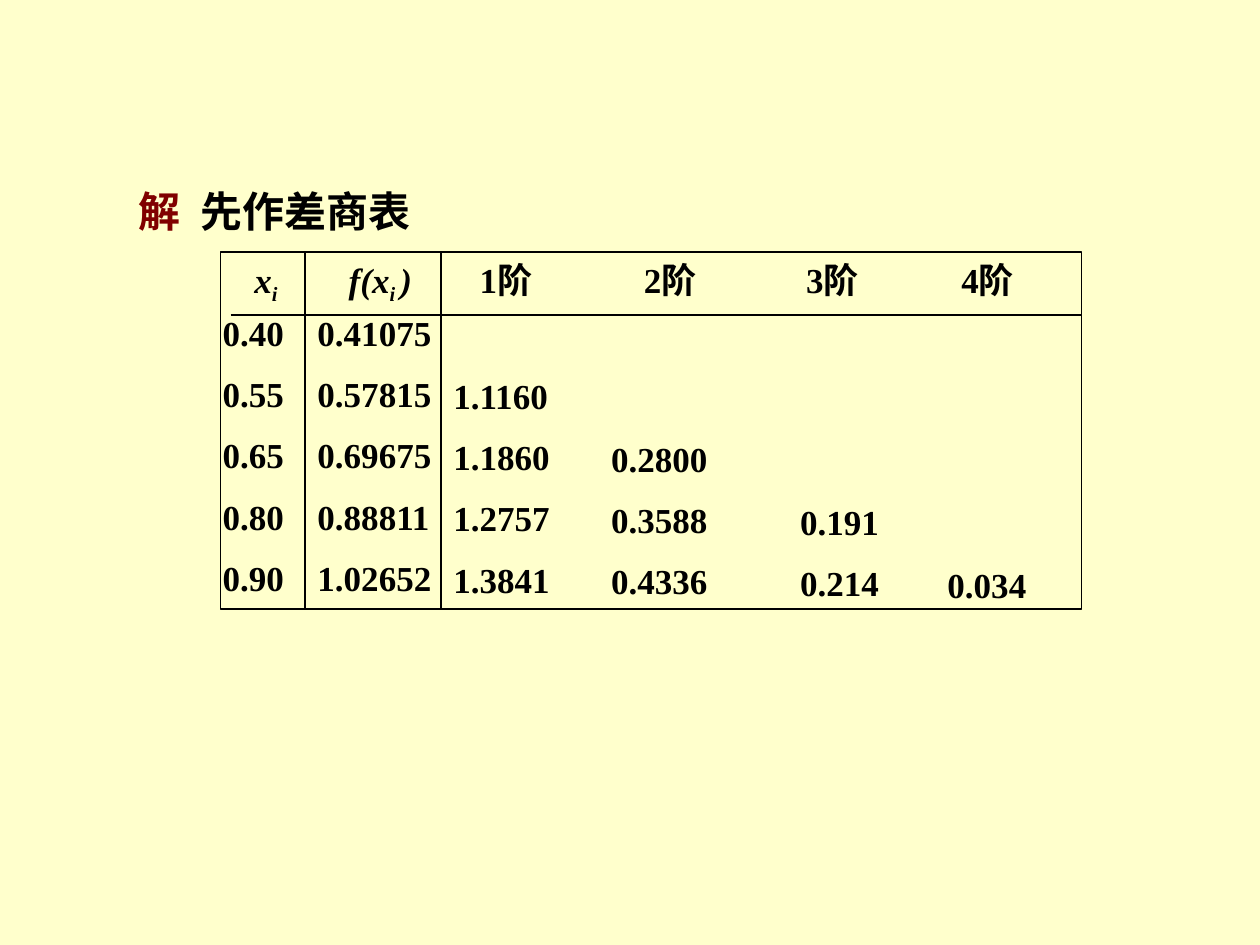
from lxml.etree import SubElement
from pptx import Presentation
from pptx.dml.color import RGBColor
from pptx.enum.shapes import MSO_CONNECTOR, MSO_SHAPE
from pptx.enum.text import MSO_ANCHOR, PP_ALIGN
from pptx.oxml.ns import qn
from pptx.util import Cm, Pt

INK = "000000"
TITLE = [("解", "800000"), ("\t先作差商表", INK)]

# Header runs are (text, subscript).
# Each column: header left, header runs, values left, values
COLUMNS = [
    (4.88, [("x", False), ("i", True)], 4.24,
     ["0.40", "0.55", "0.65", "0.80", "0.90"]),
    (6.78, [("f(x", False), ("i ", True), (")", False)], 6.15,
     ["0.41075", "0.57815", "0.69675", "0.88811", "1.02652"]),
    (9.42, [("1阶", False)], 8.89, ["1.1160", "1.1860", "1.2757", "1.3841"]),
    (12.73, [("2阶", False)], 12.07, ["0.2800", "0.3588", "0.4336"]),
    (16.0, [("3阶", False)], 15.88, ["0.191", "0.214"]),
    (19.13, [("4阶", False)], 18.85, ["0.034"]),
]
LEFT, TOP, WIDTH, HEIGHT = 4.45, 5.08, 17.35, 7.2
RIGHT, BOTTOM = LEFT + WIDTH, TOP + HEIGHT
HEADER_LINE = 6.35
VALUES_TOP, STEP = 6.15, 1.27
BOX_WIDTH = 2.8
RULES = [
    (4.65, HEADER_LINE, RIGHT, HEADER_LINE),
    (6.15, TOP, 6.15, BOTTOM),
    (8.89, TOP, 8.89, BOTTOM),
]


def rgb(color):
    return RGBColor.from_string(color)


def add_run(p, text, size=20, color=INK, italic=False, subscript=False):
    r = p.add_run()
    r.text = text
    r.font.name = "Times New Roman"
    r.font.size = Pt(size)
    r.font.bold = True
    r.font.italic = italic
    r.font.color.rgb = rgb(color)
    if subscript:
        r._r.get_or_add_rPr().set("baseline", "-25000")


def add_box(left, top, height):
    box = s.shapes.add_textbox(Cm(left), Cm(top), Cm(BOX_WIDTH), Cm(height))
    box.text_frame.word_wrap = True
    return box.text_frame


def set_line(shape):
    shape.line.color.rgb = rgb(INK)
    shape.line.width = Pt(0.75)


prs = Presentation()
prs.slide_width, prs.slide_height = Cm(25.4), Cm(19.05)
s = prs.slides.add_slide(prs.slide_layouts[5])
s.background.fill.solid()
s.background.fill.fore_color.rgb = rgb("FFFFCC")

title = s.shapes.title
title.left, title.top, title.width, title.height = Cm(2.54), Cm(3.61), Cm(20.75), Cm(1.27)
title.text_frame.vertical_anchor = MSO_ANCHOR.TOP
p = title.text_frame.paragraphs[0]
p.alignment = PP_ALIGN.LEFT
tabs = SubElement(p._p.get_or_add_pPr(), qn("a:tabLst"))
SubElement(tabs, qn("a:tab"), pos=str(Cm(1.24)), algn="l")
for text, color in TITLE:
    add_run(p, text, 24, color)

frame = s.shapes.add_shape(MSO_SHAPE.RECTANGLE, Cm(LEFT), Cm(TOP), Cm(WIDTH), Cm(HEIGHT))
frame.shadow.inherit = False
frame.fill.background()
set_line(frame)

for ends in RULES:
    rule = s.shapes.add_connector(MSO_CONNECTOR.STRAIGHT, *map(Cm, ends))
    SubElement(rule._element.spPr, qn("a:effectLst"))
    set_line(rule)

rows = len(COLUMNS[0][3])
for header_left, header, left, values in COLUMNS:
    p = add_box(header_left, TOP, 1.09).paragraphs[0]
    for text, subscript in header:
        add_run(p, text, italic=len(header) > 1, subscript=subscript)

    # Each order of difference starts one step lower
    top = VALUES_TOP + STEP * (rows - len(values))
    tf = add_box(left, top, 1.09 + STEP * (len(values) - 1))
    for i, value in enumerate(values):
        p = tf.add_paragraph() if i else tf.paragraphs[0]
        p.space_before = Pt(11 if i else 0)
        add_run(p, value)

prs.save("out.pptx")
